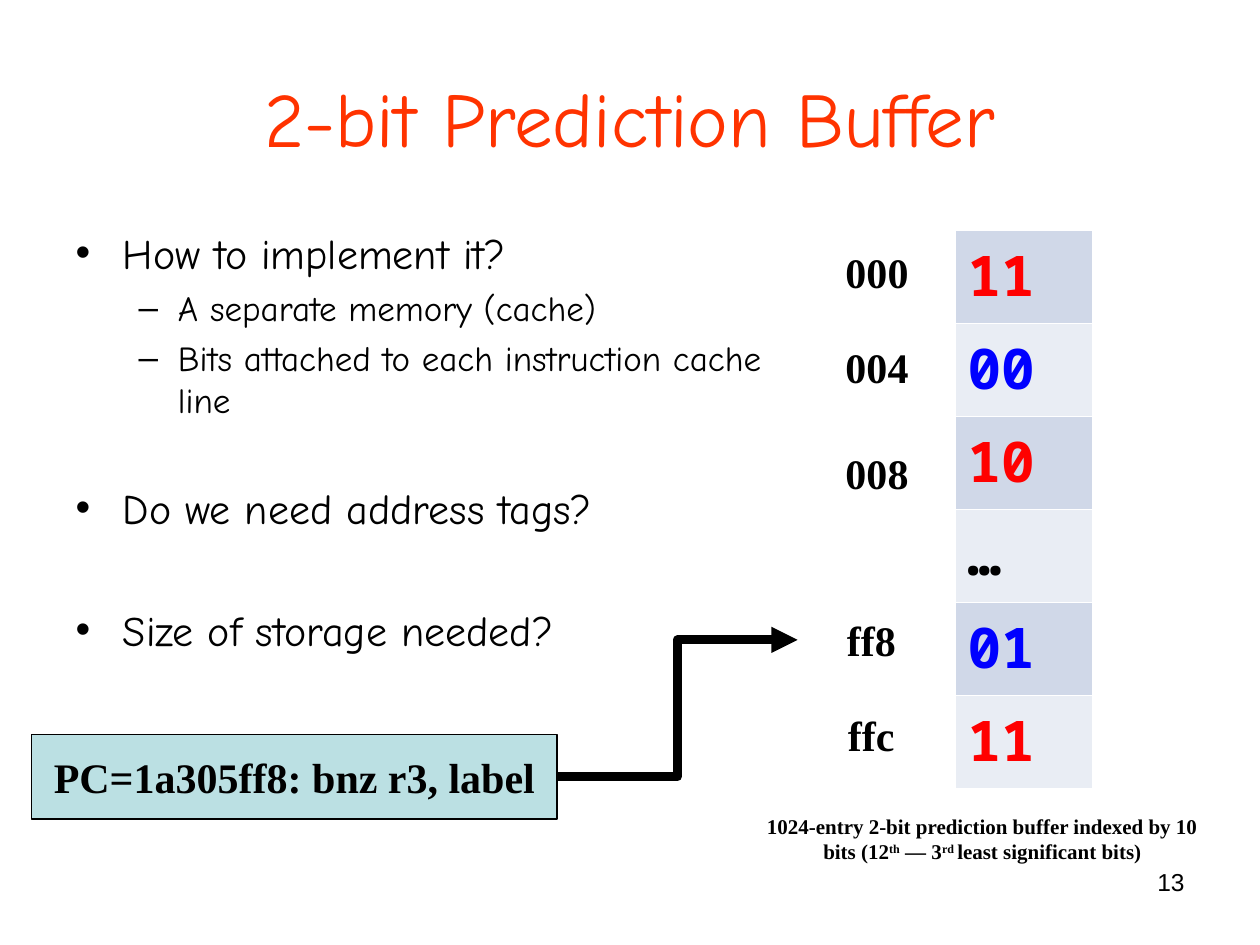
import pptx
import pptx.dml.color
import pptx.enum.shapes
import pptx.enum.text
import pptx.oxml
import pptx.oxml.ns
import pptx.util
from pptx.util import Cm

RGBColor = pptx.dml.color.RGBColor
Pt = pptx.util.Pt
ALIGN = pptx.enum.text.PP_ALIGN
ANCHOR = pptx.enum.text.MSO_ANCHOR

BLACK = RGBColor(0x00, 0x00, 0x00)
WHITE = RGBColor(0xFF, 0xFF, 0xFF)
ORANGE = RGBColor(0xFF, 0x33, 0x00)
RED = RGBColor(0xFF, 0x00, 0x00)
BLUE = RGBColor(0x00, 0x00, 0xFF)
TEAL = RGBColor(0xBB, 0xE0, 0xE3)
BANDS = (RGBColor(0xD0, 0xD8, 0xE8), RGBColor(0xE9, 0xED, 0xF4))

HEADING = {"name": "Comic Neue", "size": Pt(44)}
QUESTION = {"name": "Comic Neue", "size": Pt(24)}
ANSWER = {"name": "Comic Neue", "size": Pt(20)}
LABEL = {"name": "Times New Roman", "size": Pt(24), "bold": True}
CAPTION = {"name": "Times New Roman", "size": Pt(12), "bold": True}
COUNTER = {"name": "Noto Sans Mono", "size": Pt(32), "bold": True}
NUMBER = {"name": "Arial", "size": Pt(14)}

OUTLINE = [
    ("How to implement it?", 0, 6),
    ("A separate memory (cache)", 1, 5),
    ("Bits attached to each instruction cache line", 1, 5),
    ("Do we need address tags?", 0, 35),
    ("Size of storage needed?", 0, 40.8),
]
ADDRESSES = [
    ("000", 16.31, 4.85, 2.74),
    ("004", 16.31, 6.76, 2.74),
    ("008", 16.31, 8.89, 2.74),
    ("ff8", 16.08, 12.27, 2.97),
    ("ffc", 16.08, 14.17, 2.97),
]
COUNTERS = [("11", RED), ("00", BLUE), ("10", RED),
            ("…", BLACK), ("01", BLUE), ("11", RED)]
CAPTION_RUNS = [
    ("1024-entry 2-bit prediction buffer indexed by 10 bits (12", False),
    ("th", True),
    (" — 3", False),
    ("rd ", True),
    ("least significant bits)", False),
]


def apply(target, values):
    for key, value in values.items():
        setattr(target, key, value)


def add_run(paragraph, text, style, color=BLACK, raised=False):
    run = paragraph.add_run()
    run.text = text
    apply(run.font, style)
    run.font.color.rgb = color
    if raised:
        run.font._element.set("baseline", "30000")


def place(shape, left, top, width, height):
    apply(shape, {"left": Cm(left), "top": Cm(top),
                  "width": Cm(width), "height": Cm(height)})


def add_title(slide):
    title = slide.shapes.title
    place(title, 1.27, 0.76, 22.86, 3.18)
    apply(title.text_frame, {"vertical_anchor": ANCHOR.MIDDLE,
                             "auto_size": pptx.enum.text.MSO_AUTO_SIZE.NONE})
    paragraph = title.text_frame.paragraphs[0]
    paragraph.alignment = ALIGN.CENTER
    add_run(paragraph, "2-bit Prediction Buffer", HEADING, ORANGE)


def add_outline(slide):
    outline = slide.placeholders[1]
    place(outline, 1.27, 4.45, 15.24, 12.57)
    frame = outline.text_frame
    frame.auto_size = pptx.enum.text.MSO_AUTO_SIZE.NONE
    for index, (text, level, gap) in enumerate(OUTLINE):
        paragraph = frame.add_paragraph() if index else frame.paragraphs[0]
        apply(paragraph, {"level": level, "space_before": Pt(gap)})
        add_run(paragraph, text, ANSWER if level else QUESTION)


def add_text(slide, bounds, runs, style, alignment=ALIGN.CENTER):
    box = slide.shapes.add_textbox(*map(Cm, bounds))
    box.text_frame.word_wrap = True
    paragraph = box.text_frame.paragraphs[0]
    paragraph.alignment = alignment
    for text, raised in runs:
        add_run(paragraph, text, style, raised=raised)


def set_borders(cell, color, width):
    properties = cell._tc.get_or_add_tcPr()
    for index, side in enumerate(("lnL", "lnR", "lnT", "lnB")):
        properties.insert(index, pptx.oxml.parse_xml(
            f'<a:{side} {pptx.oxml.ns.nsdecls("a")} w="{Pt(width)}">'
            f'<a:solidFill><a:srgbClr val="{color}"/></a:solidFill></a:{side}>'))


def add_buffer(slide):
    buffer = slide.shapes.add_table(len(COUNTERS), 2, Cm(19.25), Cm(4.65),
                                    Cm(3.81), Cm(11.25)).table
    apply(buffer, {"first_row": False, "horz_banding": False})
    for column, width in zip(buffer.columns, (2.77, 1.04)):
        column.width = Cm(width)
    for row, (bits, color) in enumerate(COUNTERS):
        entry, margin = buffer.cell(row, 0), buffer.cell(row, 1)
        entry.fill.solid()
        entry.fill.fore_color.rgb = BANDS[row % 2]
        margin.fill.background()
        add_run(entry.text_frame.paragraphs[0], bits, COUNTER, color)
        for cell in (entry, margin):
            set_borders(cell, WHITE, 0.45)
    buffer.cell(0, 1).merge(buffer.cell(len(COUNTERS) - 1, 1))


def add_instruction(slide):
    instruction = slide.shapes.add_shape(
        pptx.enum.shapes.MSO_SHAPE.RECTANGLE,
        Cm(0.64), Cm(14.81), Cm(10.59), Cm(1.7))
    instruction.shadow.inherit = False
    instruction.fill.solid()
    instruction.fill.fore_color.rgb = TEAL
    instruction.line.color.rgb = BLACK
    instruction.line.width = Pt(0.75)
    apply(instruction.text_frame, {"word_wrap": False,
                                   "vertical_anchor": ANCHOR.MIDDLE})
    paragraph = instruction.text_frame.paragraphs[0]
    paragraph.alignment = ALIGN.CENTER
    add_run(paragraph, "PC=1a305ff8: bnz r3, label", LABEL)


def add_lookup_arrow(slide):
    arrow = slide.shapes.add_connector(
        pptx.enum.shapes.MSO_CONNECTOR.ELBOW,
        Cm(11.23), Cm(15.66), Cm(16.08), Cm(12.9))
    arrow.line.color.rgb = BLACK
    arrow.line.width = Pt(5)
    namespace = pptx.oxml.ns.nsdecls("a")
    arrow.line._get_or_add_ln().append(
        pptx.oxml.parse_xml(f'<a:tailEnd {namespace} type="triangle"/>'))
    arrow._element.spPr.append(
        pptx.oxml.parse_xml(f"<a:effectLst {namespace}/>"))


def main():
    deck = pptx.Presentation()
    apply(deck, {"slide_width": Cm(25.4), "slide_height": Cm(19.05)})
    slide = deck.slides.add_slide(deck.slide_layouts[1])
    add_title(slide)
    add_outline(slide)
    add_text(slide, (18.21, 17.35, 5.92, 1.32), [("13", False)],
             NUMBER, ALIGN.RIGHT)
    add_buffer(slide)
    for address, left, top, width in ADDRESSES:
        add_text(slide, (left, top, width, 1.27), [(address, False)], LABEL)
    add_text(slide, (15.04, 16.28, 9.53, 1.27), CAPTION_RUNS, CAPTION)
    add_instruction(slide)
    add_lookup_arrow(slide)
    deck.save("out.pptx")


if __name__ == "__main__":
    main()
